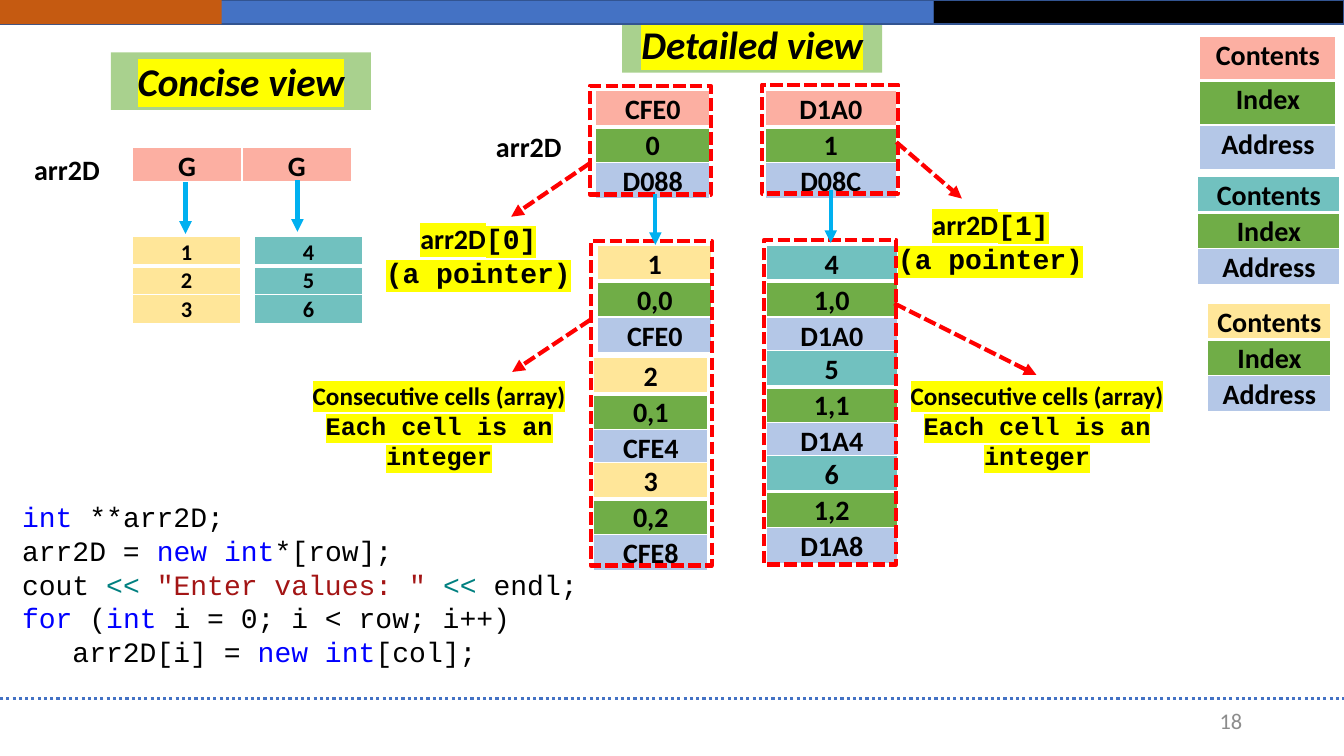
from dataclasses import dataclass

from lxml.etree import SubElement
from pptx import Presentation
from pptx.dml.color import RGBColor
from pptx.enum.dml import MSO_LINE
from pptx.enum.shapes import MSO_CONNECTOR, MSO_SHAPE
from pptx.enum.text import MSO_ANCHOR, MSO_AUTO_SIZE, PP_ALIGN
from pptx.oxml.ns import qn
from pptx.util import Inches, Pt

BLACK, WHITE, YELLOW, RED, SKY = "000000", "FFFFFF", "FFFF00", "FF0000", "00B0F0"
PINK, CREAM, TEAL, GREEN, BLUE = "FCAFA2", "FFE699", "71C1BF", "70AD47", "B4C7E7"
KEYWORD, OPERATOR, STRING = "0000FF", "008080", "A31515"
SANS, MONO = "Calibri", "Courier New"


@dataclass
class Box:
    left: float
    top: float
    width: float
    height: float

    def emu(self) -> tuple:
        return tuple(Inches(v) for v in (self.left, self.top, self.width, self.height))


@dataclass
class Span:
    text: str
    color: str = BLACK
    font: str = SANS
    highlight: str = ""


@dataclass
class Cells:
    box: Box
    rows: list[list[str]]
    fills: list[str]
    size: int = 20


@dataclass
class Arrow:
    start: tuple[float, float]
    end: tuple[float, float]
    color: str = RED


def rgb(color: str) -> RGBColor:
    return RGBColor.from_string(color)


def write(frame, lines: list[list[Span]], size: float, align=PP_ALIGN.CENTER,
          bold=True, italic=False, spacing=1.0) -> None:
    """Fill a text frame, one list of spans for each paragraph."""
    frame.word_wrap = True
    for number, spans in enumerate(lines):
        paragraph = frame.add_paragraph() if number else frame.paragraphs[0]
        paragraph.alignment, paragraph.line_spacing = align, spacing
        font = paragraph.font
        font.size, font.bold, font.italic = Pt(size), bold, italic
        for span in spans:
            run = paragraph.add_run()
            run.text = span.text
            run.font.color.rgb = rgb(span.color)
            if span.highlight:
                mark = SubElement(run.font._element, qn("a:highlight"))
                SubElement(mark, qn("a:srgbClr"), val=span.highlight)
            run.font.name = span.font


def add_text(box: Box, lines: list[list[Span]], size: float, **style):
    label = slide.shapes.add_textbox(*box.emu())
    write(label.text_frame, lines, size, **style)
    return label


def add_rect(box: Box, fill: str = "", line: str = "", width: float = 1):
    rect = slide.shapes.add_shape(MSO_SHAPE.RECTANGLE, *box.emu())
    rect.shadow.inherit = False
    if fill:
        rect.fill.solid()
        rect.fill.fore_color.rgb = rgb(fill)
    else:
        rect.fill.background()
    if line:
        rect.line.color.rgb, rect.line.width = rgb(line), Pt(width)
    else:
        rect.line.fill.background()
    return rect


def add_line(start: tuple, end: tuple, color: str, width: float, dash=None, head=False) -> None:
    ends = [Inches(v) for v in (*start, *end)]
    connector = slide.shapes.add_connector(MSO_CONNECTOR.STRAIGHT, *ends)
    connector.line.color.rgb, connector.line.width = rgb(color), Pt(width)
    if dash:
        connector.line.dash_style = dash
    if head:
        SubElement(connector.line._get_or_add_ln(), qn("a:tailEnd"), type="triangle")
    SubElement(connector._element.spPr, qn("a:effectLst"))


def add_cells(cells: Cells) -> None:
    """White-ruled table with a thicker rule under its first row."""
    columns = len(cells.rows[0])
    table = slide.shapes.add_table(len(cells.rows), columns, *cells.box.emu()).table
    table.first_row = table.horz_banding = False
    for r, values in enumerate(cells.rows):
        for c, value in enumerate(values):
            cell = table.cell(r, c)
            cell.margin_left = cell.margin_right = Inches(0.07)
            cell.margin_top = cell.margin_bottom = 0
            write(cell.text_frame, [[Span(value)]], cells.size, spacing=1.07)
            rules = {"lnL": 1, "lnR": 1, "lnT": 3 if r == 1 else 1, "lnB": 1 if r else 3}
            for side, width in rules.items():
                rule = SubElement(cell._tc.get_or_add_tcPr(), qn(f"a:{side}"), w=str(Pt(width)))
                SubElement(SubElement(rule, qn("a:solidFill")), qn("a:srgbClr"), val=WHITE)
            cell.fill.solid()
            cell.fill.fore_color.rgb = rgb(cells.fills[r])


def record(left: float, top: float, width: float, values: str, fill: str,
           height: float = 1.02) -> Cells:
    """Contents, index and address of one memory cell."""
    return Cells(Box(left, top, width, height), [[v] for v in values.split()], [fill, GREEN, BLUE])


deck = Presentation()
deck.slide_width, deck.slide_height = Inches(13.33), Inches(7.5)
slide = deck.slides.add_slide(deck.slide_layouts[5])

# Top band, footer rule and page number
add_rect(Box(0, 0, 9.26, 0.24), "4472C4", "325491")
add_rect(Box(9.26, 0, 4.07, 0.24), BLACK, "325491")
add_rect(Box(0, 0, 2.2, 0.24), "C55A11")
add_line((0, 6.93), (13.33, 6.93), "4472C4", 2.25, MSO_LINE.ROUND_DOT)
page_number = add_text(Box(9.42, 6.95, 3, 0.4), [[Span("18", "8C8C8C")]], 16,
                       align=PP_ALIGN.RIGHT, bold=False)
page_number.text_frame.vertical_anchor = MSO_ANCHOR.MIDDLE

# View headings
detailed_heading = slide.shapes.title
detailed_heading.left, detailed_heading.top, detailed_heading.width, detailed_heading.height = \
    Box(6.17, 0.15, 2.58, 0.57).emu()
detailed_heading.fill.solid()
detailed_heading.fill.fore_color.rgb = rgb("A9D18E")
concise_heading = add_rect(Box(1.1, 0.52, 2.58, 0.57), "A9D18E")
for heading, wording in ((concise_heading, "Concise view"), (detailed_heading, "Detailed view")):
    write(heading.text_frame, [[Span(wording, highlight=YELLOW)]], 28, italic=True)
    heading.text_frame.auto_size = MSO_AUTO_SIZE.NONE
    heading.text_frame.vertical_anchor = MSO_ANCHOR.MIDDLE

# Concise view, memory records and legend
concise = [
    Cells(Box(1.31, 1.46, 2.18, 0.34), [["G", "G"]], [PINK]),
    Cells(Box(1.31, 2.35, 1.08, 0.82), [["1"], ["2"], ["3"]], [CREAM] * 3, 16),
    Cells(Box(2.52, 2.35, 1.08, 0.82), [["4"], ["5"], ["6"]], [TEAL] * 3, 16),
]
detailed = [
    record(5.93, 2.43, 1.13, "1 0,0 CFE0", CREAM),
    record(5.89, 3.55, 1.13, "2 0,1 CFE4", CREAM),
    record(5.89, 4.59, 1.13, "3 0,2 CFE8", CREAM),
    record(7.6, 2.43, 1.3, "4 1,0 D1A0", TEAL),
    record(7.6, 3.48, 1.3, "5 1,1 D1A4", TEAL),
    record(7.6, 4.52, 1.3, "6 1,2 D1A8", TEAL),
    record(5.91, 0.9, 1.13, "CFE0 0 D088", PINK),
    record(7.59, 0.9, 1.3, "D1A0 1 D08C", PINK),
]
LEGEND = "Contents Index Address"
legend = [
    record(11.9, 0.36, 1.35, LEGEND, PINK, 1.32),
    record(11.88, 1.75, 1.41, LEGEND, TEAL),
    record(11.98, 3.01, 1.22, LEGEND, CREAM),
]
for cells in concise + detailed + legend:
    add_cells(cells)

# Dashed frames around consecutive memory
for frame_box in (Box(5.85, 0.85, 1.2, 1.08), Box(7.56, 0.84, 1.35, 1.08),
                  Box(5.86, 2.39, 1.2, 3.22), Box(7.58, 2.38, 1.31, 3.22)):
    add_rect(frame_box, line=RED, width=3).line.dash_style = MSO_LINE.SQUARE_DOT

# Blue pointers and red callout arrows
for arrow in (
    Arrow((1.84, 1.81), (1.84, 2.32), SKY), Arrow((2.95, 1.79), (2.95, 2.3), SKY),
    Arrow((6.5, 1.92), (6.5, 2.43), SKY), Arrow((8.24, 1.89), (8.24, 2.41), SKY),
    Arrow((5.85, 1.62), (5.07, 2.15)), Arrow((8.89, 1.41), (9.54, 1.97)),
    Arrow((5.86, 3.17), (5.08, 3.69)), Arrow((8.87, 3.01), (10.28, 3.72)),
):
    dash = MSO_LINE.SQUARE_DOT if arrow.color == RED else None
    add_line(arrow.start, arrow.end, arrow.color, 3, dash, head=True)

# Array names and callouts
for name_box in (Box(0, 1.3, 1.33, 0.55), Box(4.42, 1.07, 1.65, 0.55)):
    add_text(name_box, [[Span("arr2D")]], 20, spacing=1.5)
for index, (left, top) in enumerate(((3.71, 2.15), (8.79, 2.01))):
    add_text(Box(left, top, 2.07, 0.77),
             [[Span("arr2D", highlight=YELLOW), Span(f"[{index}]", BLACK, MONO, YELLOW)],
              [Span("(a pointer)", BLACK, MONO, YELLOW)]], 20)
for left in (2.93, 8.86):
    add_text(Box(left, 3.72, 2.85, 1.01),
             [[Span("Consecutive cells (array)", highlight=YELLOW)],
              [Span("Each cell is an integer", BLACK, MONO, YELLOW)]], 18)

# Allocation code
code = [
    [("int", KEYWORD), (" **arr2D;", BLACK)],
    [("arr2D = ", BLACK), ("new int", KEYWORD), ("*[row];", BLACK)],
    [("cout ", BLACK), ("<< ", OPERATOR), ('"Enter values: " ', STRING), ("<< ", OPERATOR),
     ("endl;", BLACK)],
    [("for", KEYWORD), (" (", BLACK), ("int", KEYWORD), (" i = 0; i < row; i++)", BLACK)],
    [("\tarr2D[i] = ", BLACK), ("new int", KEYWORD), ("[col];", BLACK)],
]
add_text(Box(0.12, 4.91, 9.25, 1.78), [[Span(t, color, MONO) for t, color in line] for line in code],
         20, align=PP_ALIGN.LEFT, bold=False)

deck.save("out.pptx")
